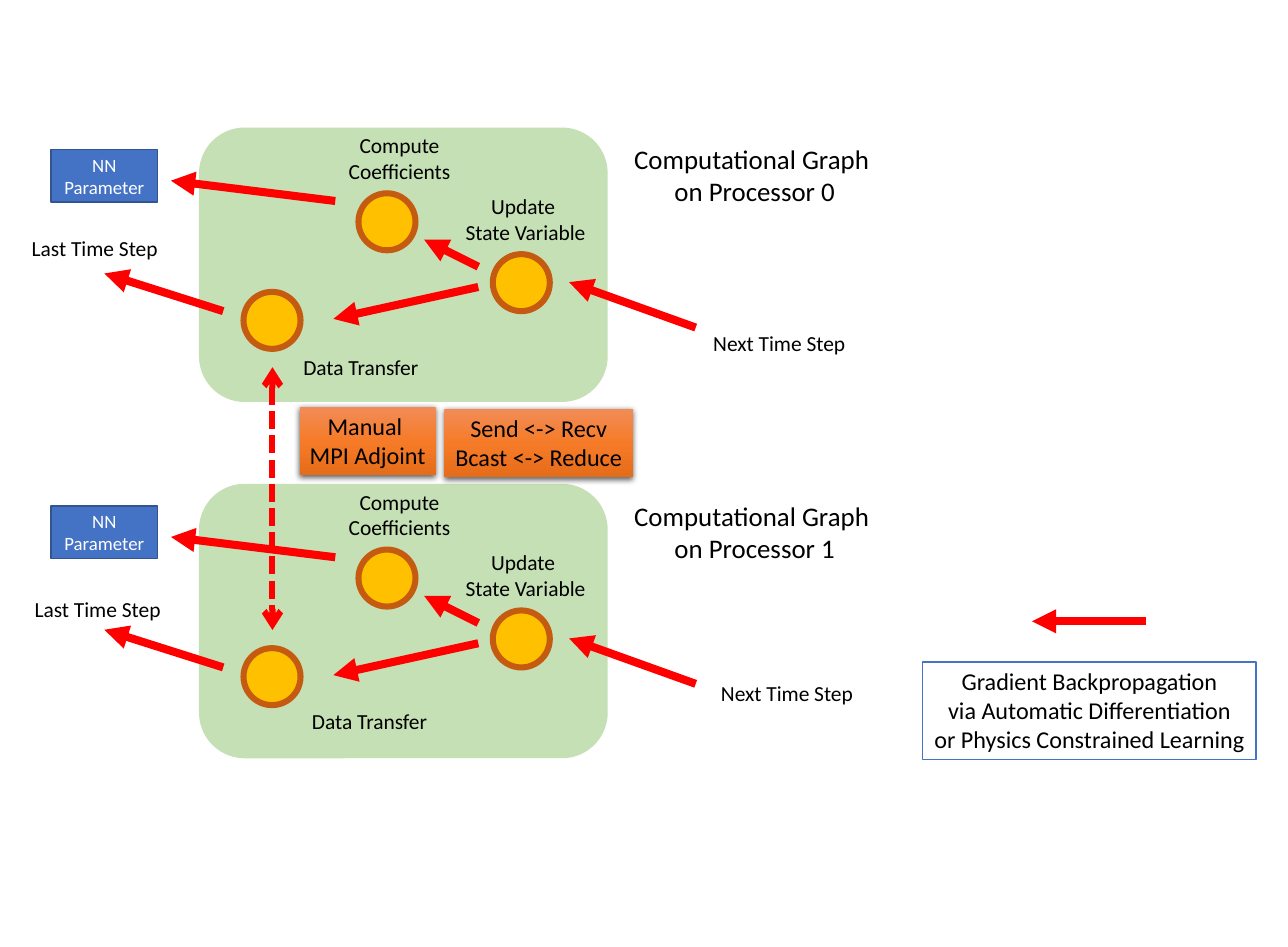
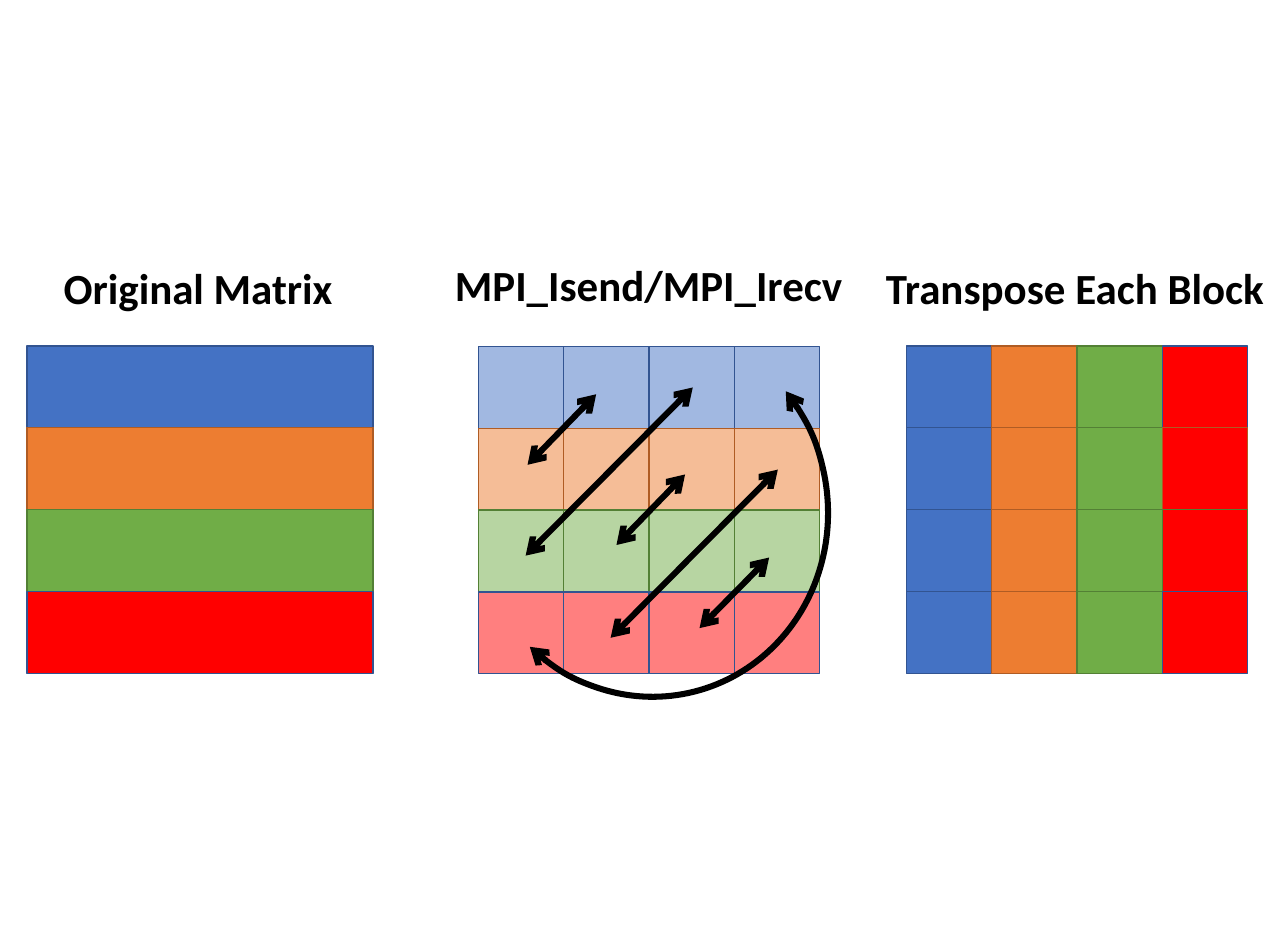
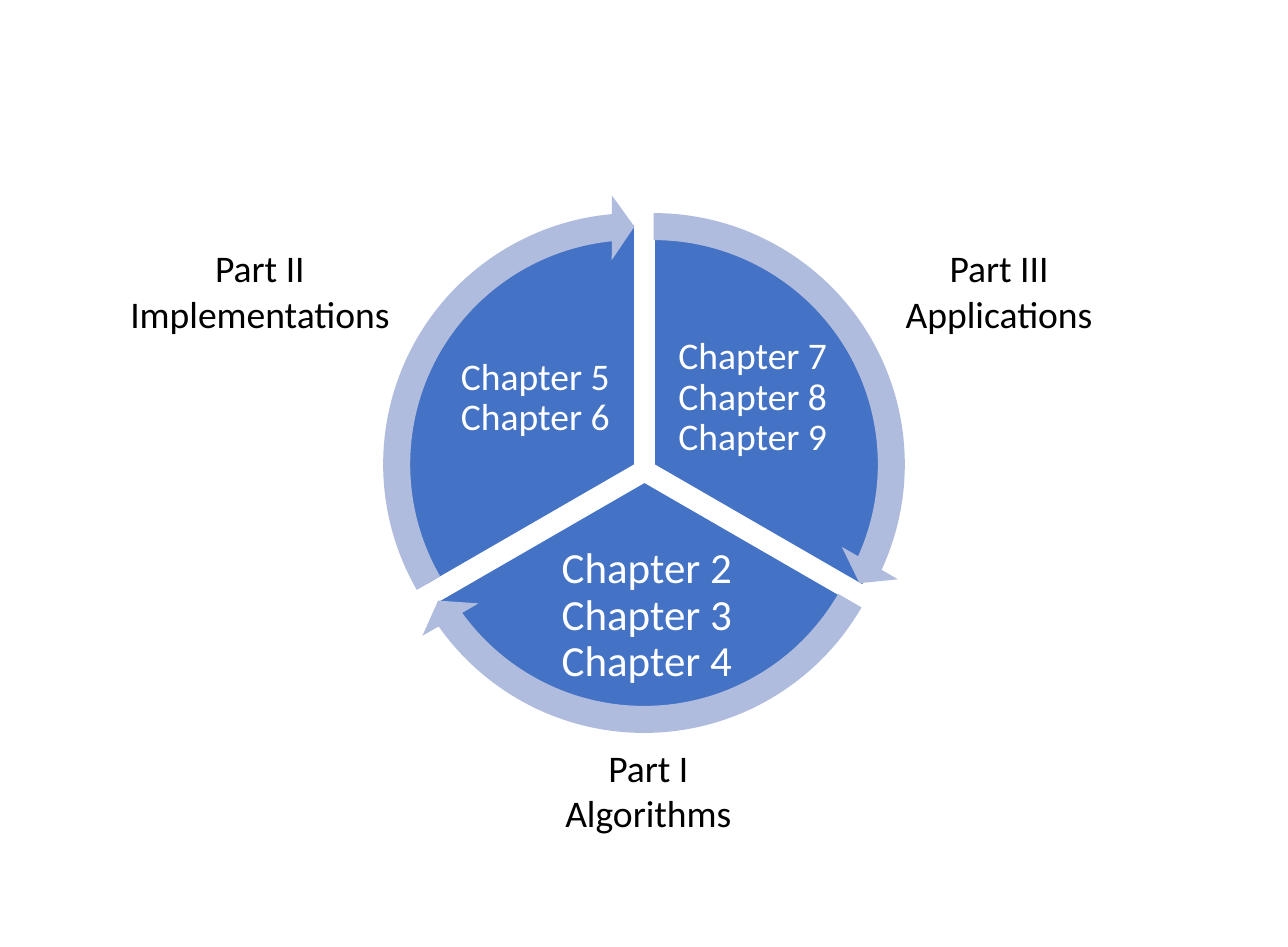
import copy

import lxml.etree
import pptx
import pptx.dml.color
import pptx.enum.dml
import pptx.enum.shapes
import pptx.enum.text
import pptx.oxml.ns
import pptx.util

qn = pptx.oxml.ns.qn
RGBColor = pptx.dml.color.RGBColor
SHAPE = pptx.enum.shapes.MSO_SHAPE
STRAIGHT = pptx.enum.shapes.MSO_CONNECTOR.STRAIGHT
ALIGN = pptx.enum.text.PP_ALIGN
ANCHOR = pptx.enum.text.MSO_ANCHOR
GROW = pptx.enum.text.MSO_AUTO_SIZE.SHAPE_TO_FIT_TEXT

FONT = "Calibri"
BLACK = RGBColor(0x00, 0x00, 0x00)
WHITE = RGBColor(0xFF, 0xFF, 0xFF)
RED = RGBColor(0xFF, 0x00, 0x00)
BLUE = RGBColor(0x44, 0x72, 0xC4)
ORANGE = RGBColor(0xED, 0x7D, 0x31)
GREEN = RGBColor(0x70, 0xAD, 0x47)
DARK_BLUE = RGBColor(0x32, 0x54, 0x91)
DARK_ORANGE = RGBColor(0xAF, 0x5C, 0x24)
DARK_GREEN = RGBColor(0x53, 0x80, 0x35)
PALE_GREEN = RGBColor(0xC5, 0xE0, 0xB4)
PALE_BLUE = RGBColor(0xB0, 0xBC, 0xDE)
GOLD = RGBColor(0xFF, 0xC0, 0x00)
RUST = RGBColor(0xC5, 0x5A, 0x11)
GLOW = [RGBColor(0xF1, 0x8C, 0x57), RGBColor(0xF6, 0x7B, 0x28), RGBColor(0xE5, 0x6C, 0x19)]

prs = pptx.Presentation()
prs.slide_width = pptx.util.Inches(13.33)
prs.slide_height = pptx.util.Inches(9.8)
blank = prs.slide_layouts[6]
UNIT = prs.slide_height / 98  # square grid: 98 rows, 133.3 columns


def add_block(s, at, text="", size=16, kind=None, fill=None, line=None, width=1,
              color=BLACK, align=ALIGN.CENTER, wrap=False):
    """Add a shape, or a text box if no kind is given; at is left, top, width, height on the grid."""
    at = [round(v * UNIT) for v in at]
    if kind is None:
        sp = s.shapes.add_textbox(*at)
    else:
        sp = s.shapes.add_shape(kind, *at)
        sp.shadow.inherit = False
    if fill is not None:
        sp.fill.solid()
        sp.fill.fore_color.rgb = fill
    if line is not None:
        sp.line.color.rgb = line
        sp.line.width = pptx.util.Pt(width)
    else:
        sp.line.fill.background()
    if text:
        tf = sp.text_frame
        tf.text = text
        tf.word_wrap = wrap
        tf.vertical_anchor = ANCHOR.MIDDLE if wrap else ANCHOR.TOP
        if not wrap:
            tf.auto_size = GROW
        for p in tf.paragraphs:
            p.alignment = align
            p.font.name = FONT
            p.font.size = pptx.util.Pt(size)
            p.font.color.rgb = color
    return sp


def style_arrow(sp, color, width, **ends):
    """Colour a connector or arc; ends gives arrowhead types for headEnd and tailEnd."""
    sp.line.color.rgb = color
    sp.line.width = pptx.util.Pt(width)
    spPr = sp.element.spPr
    for end, kind in ends.items():
        lxml.etree.SubElement(spPr.get_or_add_ln(), qn("a:" + end), type=kind)
    if spPr.find(qn("a:effectLst")) is None:
        lxml.etree.SubElement(spPr, qn("a:effectLst"))


# Slide 1: computational graphs on two processors
s = prs.slides.add_slide(blank)
PITCH = 36.87
NODES = [(37.1, 20), (51, 26.3), (25.2, 30.2)]
STEPS = [(10.8, 28.3, 23.1, 32.2), (58.9, 29.2, 72, 33.9), (17.7, 18.7, 34.7, 20.8),
         (43.9, 24.8, 49.5, 27.6), (34.5, 33, 49.5, 29.7)]
LOOSE_LABELS = [
    [("Data Transfer", 30.3, 36.1, 14.1), ("Next Time Step", 72.7, 33.7, 15.9),
     ("Last Time Step", 2.2, 23.8, 15.2)],
    [("Data Transfer", 31.2, 72.8, 14.1), ("Next Time Step", 73.5, 69.9, 15.9),
     ("Last Time Step", 2.5, 61.2, 15.2)],
]
gradients = [(106.8, 64.3, 118.6, 64.3)]
for n, labels in enumerate(LOOSE_LABELS):
    dy = n * PITCH
    sp = add_block(s, (20.6, 13.2 + dy, 42.3, 28.4), kind=SHAPE.ROUNDED_RECTANGLE, fill=PALE_GREEN)
    for x, y in NODES:
        add_block(s, (x, y + dy, 5.9, 5.9), kind=SHAPE.OVAL, fill=GOLD, line=RUST, width=4.5)
    add_block(s, (47.1, 19.5 + dy, 14.6, 6.4), "Update \nState Variable")
    add_block(s, (35, 13.2 + dy, 12.7, 6.4), "Compute\nCoefficients")
    add_block(s, (64.5, 14.3 + dy, 27.2, 7.7), f"Computational Graph \non Processor {n}", 20)
    add_block(s, (5.3, 15.5 + dy, 11, 5.4), "NN\nParameter", 14, SHAPE.RECTANGLE,
              BLUE, DARK_BLUE, color=WHITE, wrap=True)
    for text, x, y, w in labels:
        add_block(s, (x, y, w, 3.7), text)
    gradients += [(x1, y1 + dy, x2, y2 + dy) for x1, y1, x2, y2 in STEPS]

for ends in gradients:
    sp = s.shapes.add_connector(STRAIGHT, *[round(v * UNIT) for v in ends])
    style_arrow(sp, RED, 6, headEnd="triangle")

sp = s.shapes.add_connector(STRAIGHT, *[round(v * UNIT) for v in (28.2, 38, 28.2, 65.2)])
sp.line.dash_style = pptx.enum.dml.MSO_LINE.SQUARE_DOT
style_arrow(sp, RED, 4.5, headEnd="arrow", tailEnd="arrow")

for text, at in [("Manual \nMPI Adjoint", (31, 42.1, 14.1, 7.1)),
                 ("Send <-> Recv\nBcast <-> Reduce", (46, 42.3, 19.5, 7.1))]:
    sp = add_block(s, at, text, 18, SHAPE.RECTANGLE)
    sp.fill.gradient()
    sp.fill.gradient_angle = 270
    spPr = sp.element.spPr
    stops = spPr.find(".//" + qn("a:gsLst"))
    stops.append(copy.deepcopy(stops[0]))
    for i, stop in enumerate(sp.fill.gradient_stops):
        stop.position = i / 2
        stop.color.rgb = GLOW[i]
    shadow = lxml.etree.SubElement(spPr.find(qn("a:effectLst")), qn("a:outerShdw"),
                                   blurRad="57150", dist="19050", dir="5400000")
    black = lxml.etree.SubElement(shadow, qn("a:srgbClr"), val="000000")
    lxml.etree.SubElement(black, qn("a:alpha"), val="63000")

add_block(s, (95.5, 68.5, 34.5, 10.1),
          "Gradient Backpropagation\nvia Automatic Differentiation\nor Physics Constrained Learning",
          18, SHAPE.RECTANGLE, WHITE, BLUE)

# Slide 2: transposing a distributed matrix
s = prs.slides.add_slide(blank)
FILLS = [BLUE, ORANGE, GREEN, RED]
OUTLINES = [DARK_BLUE, DARK_ORANGE, DARK_GREEN, DARK_BLUE]
TOP, CELL_W, CELL_H = 35.8, 8.83, 8.47
for i, (fill, outline) in enumerate(zip(FILLS, OUTLINES)):
    y = TOP + i * CELL_H
    add_block(s, (2.8, y, 35.8, CELL_H), kind=SHAPE.RECTANGLE, fill=fill, line=outline)

for j in range(4):
    for i in range(4):
        x, y = j * CELL_W, TOP + i * CELL_H
        sp = add_block(s, (49.5 + x, y + 0.05, CELL_W, CELL_H), kind=SHAPE.RECTANGLE,
                       fill=FILLS[i], line=OUTLINES[i])
        color = sp.element.spPr.find(qn("a:solidFill"))[0]
        lxml.etree.SubElement(color, qn("a:alpha"), val="50000")
        outline = OUTLINES[i] if FILLS[j] == RED else OUTLINES[j]
        add_block(s, (93.8 + x, y, CELL_W, CELL_H), kind=SHAPE.RECTANGLE,
                  fill=FILLS[j], line=outline)

swaps = [(61.7, 40.8, 54.6, 48.1), (70.9, 49.1, 63.8, 56.4), (79.6, 57.7, 72.4, 65),
         (71.7, 40.1, 54.4, 57.5), (80.5, 48.6, 63.2, 66)]
for ends in swaps:
    sp = s.shapes.add_connector(STRAIGHT, *[round(v * UNIT) for v in ends])
    style_arrow(sp, BLACK, 4.5, headEnd="arrow", tailEnd="arrow")

sp = add_block(s, (47.7, 34.2, 38.9, 37), kind=SHAPE.ARC)
sp.rotation = 77.9
sp.adjustments[0], sp.adjustments[1] = 144.8, 31.79
sp.fill.background()
style_arrow(sp, BLACK, 4.5, headEnd="arrow", tailEnd="arrow")

for text, x, y, w in [("Original Matrix", 5.6, 26.6, 30.1),
                      ("MPI_Isend/MPI_Irecv", 46.1, 26.3, 42.5),
                      ("Transpose Each Block", 90.7, 26.6, 41.5)]:
    sp = add_block(s, (x, y, w, 6.4), text, 32, align=ALIGN.LEFT)
    sp.text_frame.paragraphs[0].font.bold = True

# Slide 3: the three parts as a cycle
s = prs.slides.add_slide(blank)
PIE, RING = 49.8, 55.9
sectors = [
    (42.8, 23.2, 162, 18, "Chapter 7\vChapter 8 Chapter 9", 28, (69, 33.8, 17.8, 14.8)),
    (41.8, 25, 18, 90, "Chapter 2\vChapter 3\vChapter 4", 32, (53.6, 57.3, 26.7, 13)),
    (40.8, 23.2, 90, 162, "Chapter 5\vChapter 6", 28, (46.5, 33.8, 17.8, 14.8)),
]
for x, y, start, end, text, size, at in sectors:
    sp = add_block(s, (x, y, PIE, PIE), kind=SHAPE.PIE, fill=BLUE, line=WHITE)
    sp.adjustments[0], sp.adjustments[1] = start, end
    tf = add_block(s, at, text, size, color=WHITE, wrap=True).text_frame
    tf.margin_left = tf.margin_right = tf.margin_top = tf.margin_bottom = pptx.util.Inches(0.04)
    tf.paragraphs[0].line_spacing = 0.9

for x, y, start, end in [(39.7, 20.1, 14.73, 161.99), (38.7, 21.9, 86.72, 18.01),
                         (37.7, 20.1, 158.73, 90)]:
    sp = add_block(s, (x, y, RING, RING), kind=SHAPE.CIRCULAR_ARROW, fill=PALE_BLUE)
    for i, value in enumerate((0.05, 3.28, start, end, 0.06)):
        sp.adjustments[i] = value

for text, x, y, w in [("Part III\nApplications", 92.6, 24.9, 21.6),
                      ("Part II\nImplementations", 12.3, 24.9, 29.2),
                      ("Part I\nAlgorithms", 57.4, 76.6, 19.4)]:
    add_block(s, (x, y, w, 10.4), text, 28)

prs.save("out.pptx")
